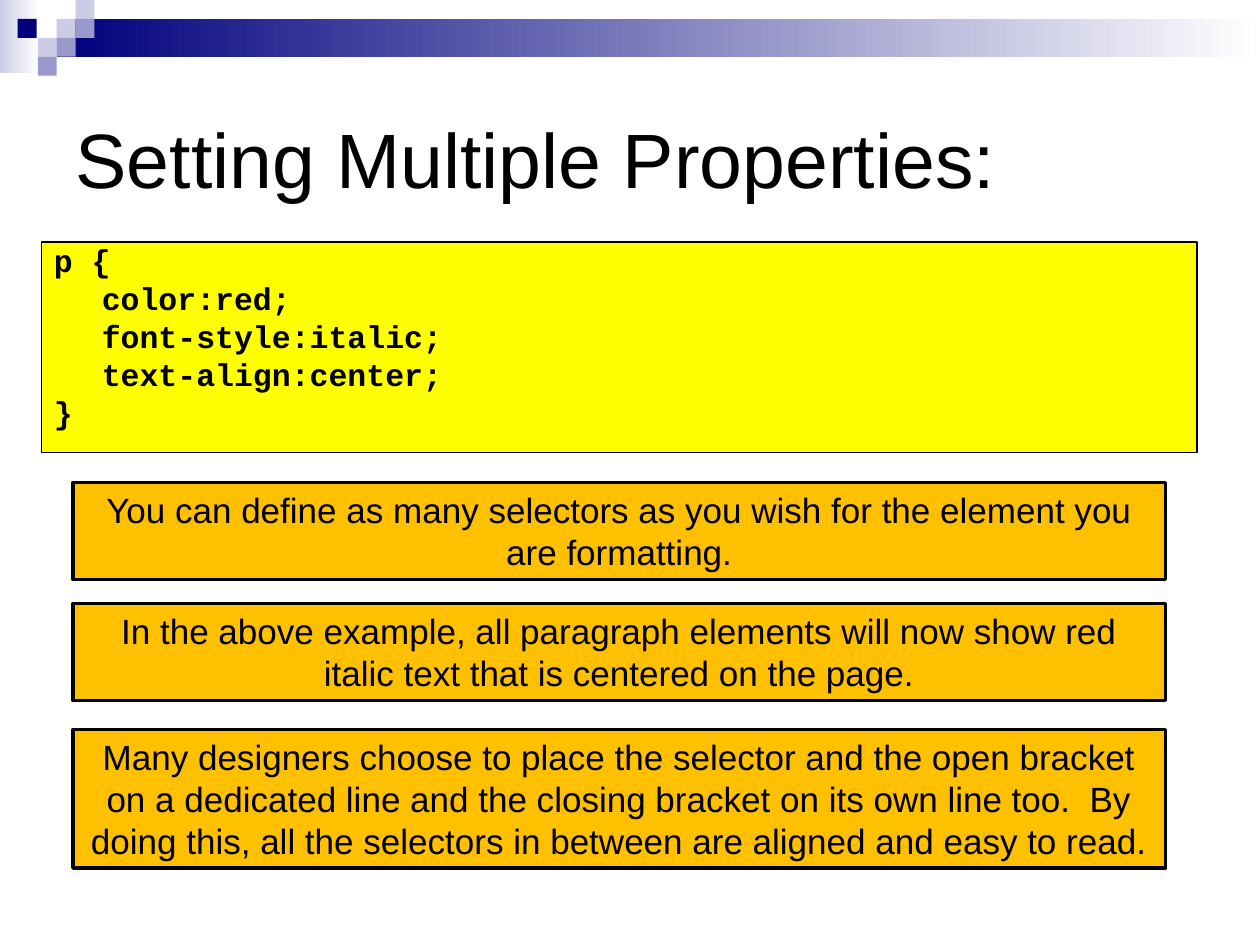
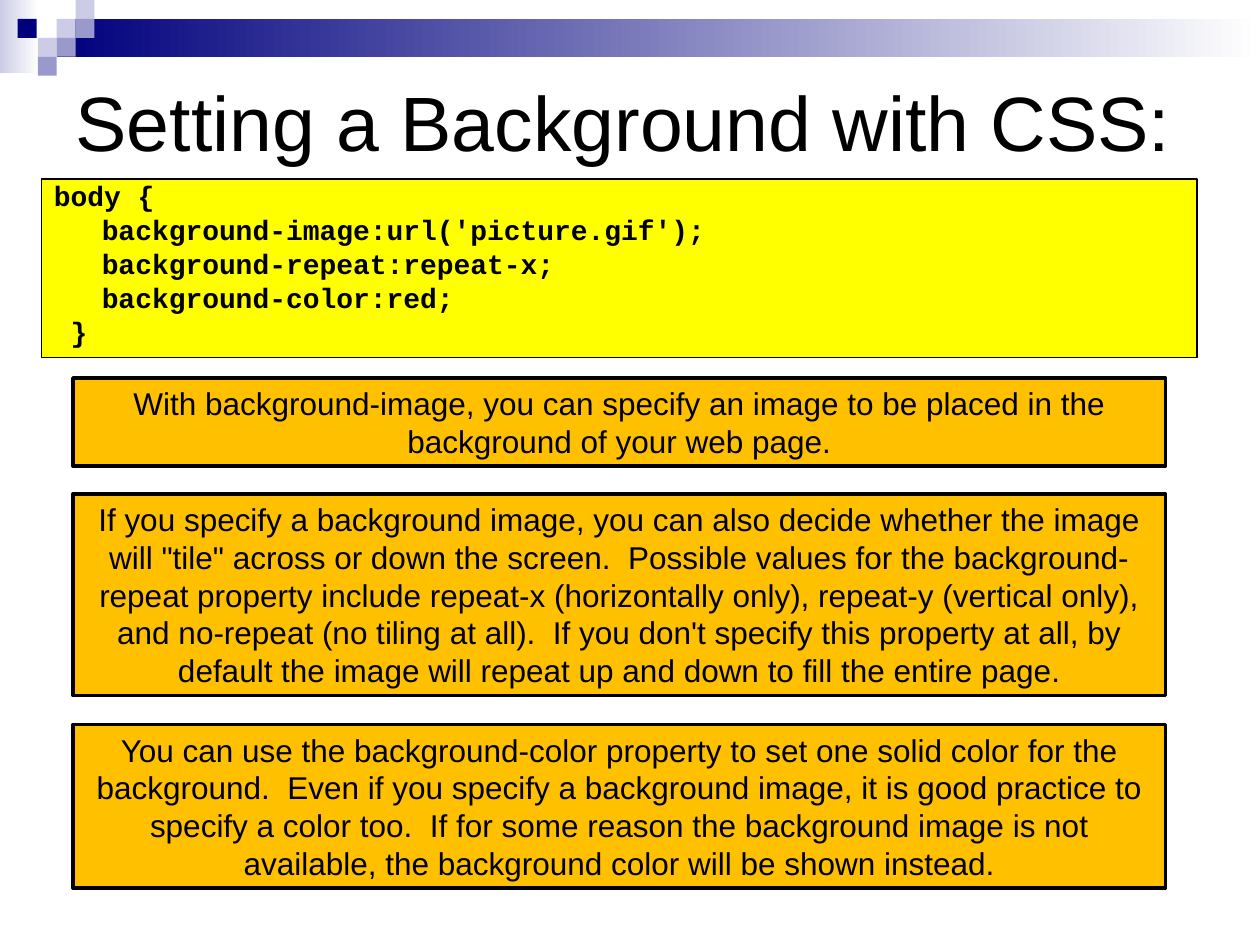
"""Builds two slides on CSS properties, each with a code panel and explanatory notes."""
from pptx import Presentation, util as u
from pptx.dml import color
from pptx.enum import shapes, text

NAVY, LILAC, LAVENDER, WHITE = "00007D", "9999CC", "CCCCE6", "FFFFFF"
BLACK, YELLOW, AMBER = "000000", "FFFF00", "FFC000"
TILE = 0.15
GRADIENTS = [((0, 0, 0.31, 0.58), LAVENDER), ((0.45, TILE, 9.55, 0.3), NAVY)]
TILES = [(0.45, 0.15, LAVENDER), (0.6, 0, LAVENDER), (0.6, 0.15, LILAC),
         (0.3, 0.3, LAVENDER), (0.14, 0.15, NAVY), (0.45, 0.3, LILAC), (0.3, 0.45, LILAC)]

LESSONS = [
    {
        "title": "Setting Multiple Properties:", "title_box": (0.5, 0.5, 9, 1.5),
        "code_top": 1.92, "code_height": 1.67, "code_size": 18, "code_gap": 4.5,
        "code": ["p {", "\tcolor:red;", "\tfont-style:italic;", "\ttext-align:center;", "}"],
        "note_size": 20,
        "notes": [
            (3.83, 0.77, "You can define as many selectors as you wish for the element you "
                         "are formatting."),
            (4.79, 0.77, "In the above example, all paragraph elements will now show red "
                         "italic text that is centered on the page."),
            (5.79, 1.1, "Many designers choose to place the selector and the open bracket "
                        "on a dedicated line and the closing bracket on its own line too.  By "
                        "doing this, all the selectors in between are aligned and easy to read."),
        ],
    },
    {
        "title": "Setting a Background with CSS:", "title_box": (0.5, 0.33, 9, 1.25),
        "code_top": 1.42, "code_height": 1.42, "code_size": 16, "code_gap": 4,
        "code": ["body {", "\tbackground-image:url('picture.gif');",
                 "  \tbackground-repeat:repeat-x;", "\tbackground-color:red;", " }"],
        "note_size": 18,
        "notes": [
            (3, 0.7, "With background-image, you can specify an image to be placed in the "
                     "background of your web page."),
            (3.92, 1.6, "If you specify a background image, you can also decide whether the image "
                        "will \"tile\" across or down the screen.  Possible values for the "
                        "background-repeat property include repeat-x (horizontally only), "
                        "repeat-y (vertical only), and no-repeat (no tiling at all).  If you "
                        "don't specify this property at all, by default the image will repeat "
                        "up and down to fill the entire page."),
            (5.75, 1.3, "You can use the background-color property to set one solid color for the "
                        "background.  Even if you specify a background image, it is good practice "
                        "to specify a color too.  If for some reason the background image is not "
                        "available, the background color will be shown instead."),
        ],
    },
]


def paint(target, hex_color):
    """Gives a fill or a font a solid colour."""
    if hasattr(target, "solid"):
        target.solid()
        target = target.fore_color
    else:
        target = target.color
    target.rgb = color.RGBColor.from_string(hex_color)


def add_box(slide, box, fill, line_width=0, lines=(), frame_format=None,
            paragraph_format=None, font_format=None):
    """Adds a filled rectangle, outlined and lettered when asked."""
    box_shape = slide.shapes.add_shape(shapes.MSO_SHAPE.RECTANGLE, *map(u.Inches, box))
    box_shape.shadow.inherit = False
    paint(box_shape.fill, fill)
    if line_width:
        paint(box_shape.line.fill, BLACK)
        box_shape.line.width = u.Pt(line_width)
    else:
        box_shape.line.fill.background()
    if lines:
        frame = box_shape.text_frame
        frame.text = "\n".join(lines)
        for name, value in frame_format.items():
            setattr(frame, name, value)
        for index, paragraph in enumerate(frame.paragraphs):
            for name, value in paragraph_format.items():
                if index or name != "space_before":
                    setattr(paragraph, name, value)
            for name, value in font_format.items():
                setattr(paragraph.font, name, value)
            paint(paragraph.font, BLACK)
    return box_shape


deck = Presentation()
deck.slide_width, deck.slide_height = u.Inches(10), u.Inches(7.5)
title_only = deck.slide_layouts[5]

for lesson in LESSONS:
    slide = deck.slides.add_slide(title_only)
    paint(slide.background.fill, WHITE)

    for box, start in GRADIENTS:
        band = add_box(slide, box, start)
        band.fill.gradient()
        band.fill.gradient_angle = 0
        for stop, shade in zip(band.fill.gradient_stops, (start, WHITE)):
            stop.color.rgb = color.RGBColor.from_string(shade)
    for left, top, shade in TILES:
        add_box(slide, (left, top, TILE, TILE), shade)

    title = slide.shapes.title
    for side, value in zip(("left", "top", "width", "height"), lesson["title_box"]):
        setattr(title, side, u.Inches(value))
    title.text_frame.text = lesson["title"]
    title.text_frame.auto_size = text.MSO_AUTO_SIZE.NONE
    title.text_frame.vertical_anchor = text.MSO_ANCHOR.MIDDLE
    heading = title.text_frame.paragraphs[0]
    heading.alignment = text.PP_ALIGN.LEFT
    for name, value in {"name": "Arial", "size": u.Pt(44)}.items():
        setattr(heading.font, name, value)
    paint(heading.font, BLACK)

    code = add_box(
        slide, (0.33, lesson["code_top"], 9.17, lesson["code_height"]), YELLOW, 0.75, lesson["code"],
        {"word_wrap": True, "vertical_anchor": text.MSO_ANCHOR.TOP},
        {"alignment": text.PP_ALIGN.LEFT, "line_spacing": 0.8,
         "space_before": u.Pt(lesson["code_gap"])},
        {"name": "Courier New", "size": u.Pt(lesson["code_size"]), "bold": True})
    for paragraph in code.text_frame.paragraphs:
        properties = paragraph._p.get_or_add_pPr()
        properties.set("marL", str(u.Inches(0.38)))
        properties.set("indent", str(-u.Inches(0.38)))

    for top, height, note in lesson["notes"]:
        add_box(slide, (0.58, top, 8.67, height), AMBER, 2, [note],
                {"word_wrap": True, "vertical_anchor": text.MSO_ANCHOR.TOP,
                 "auto_size": text.MSO_AUTO_SIZE.SHAPE_TO_FIT_TEXT},
                {"alignment": text.PP_ALIGN.CENTER},
                {"name": "Arial", "size": u.Pt(lesson["note_size"])})

deck.save("out.pptx")
